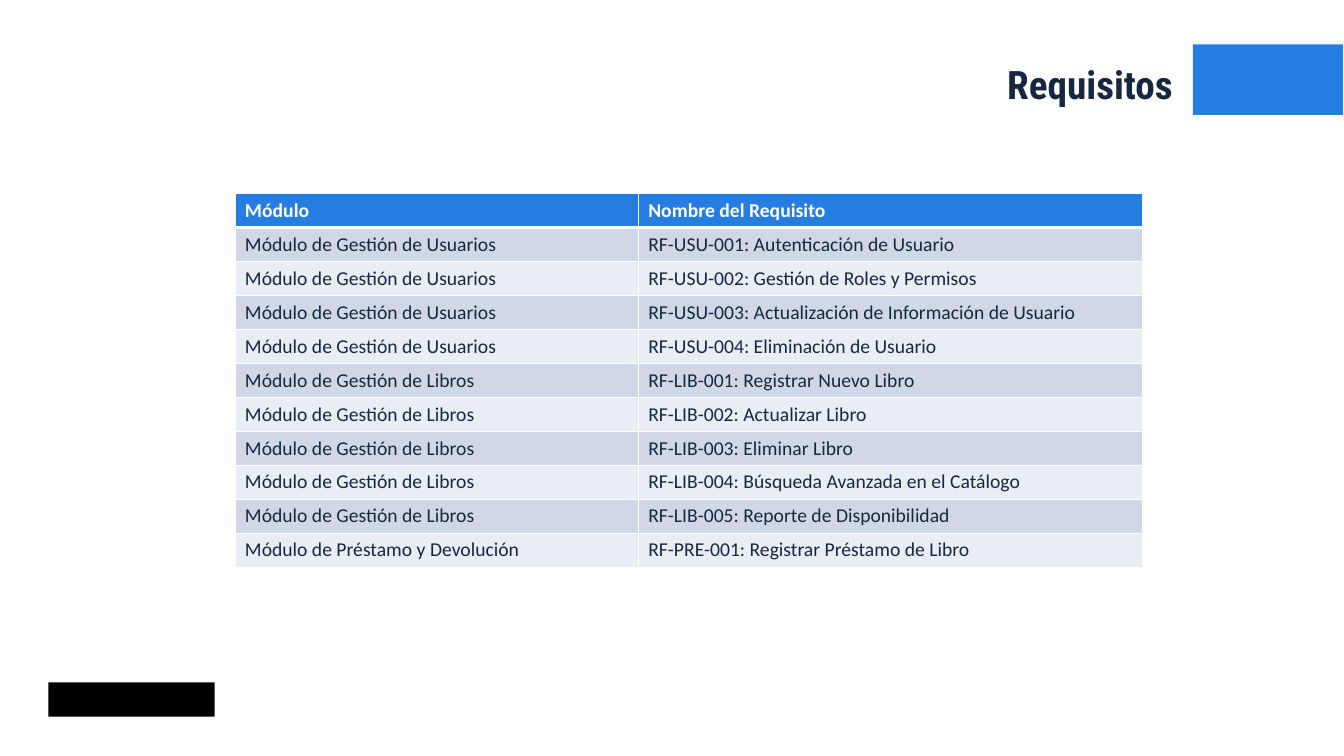
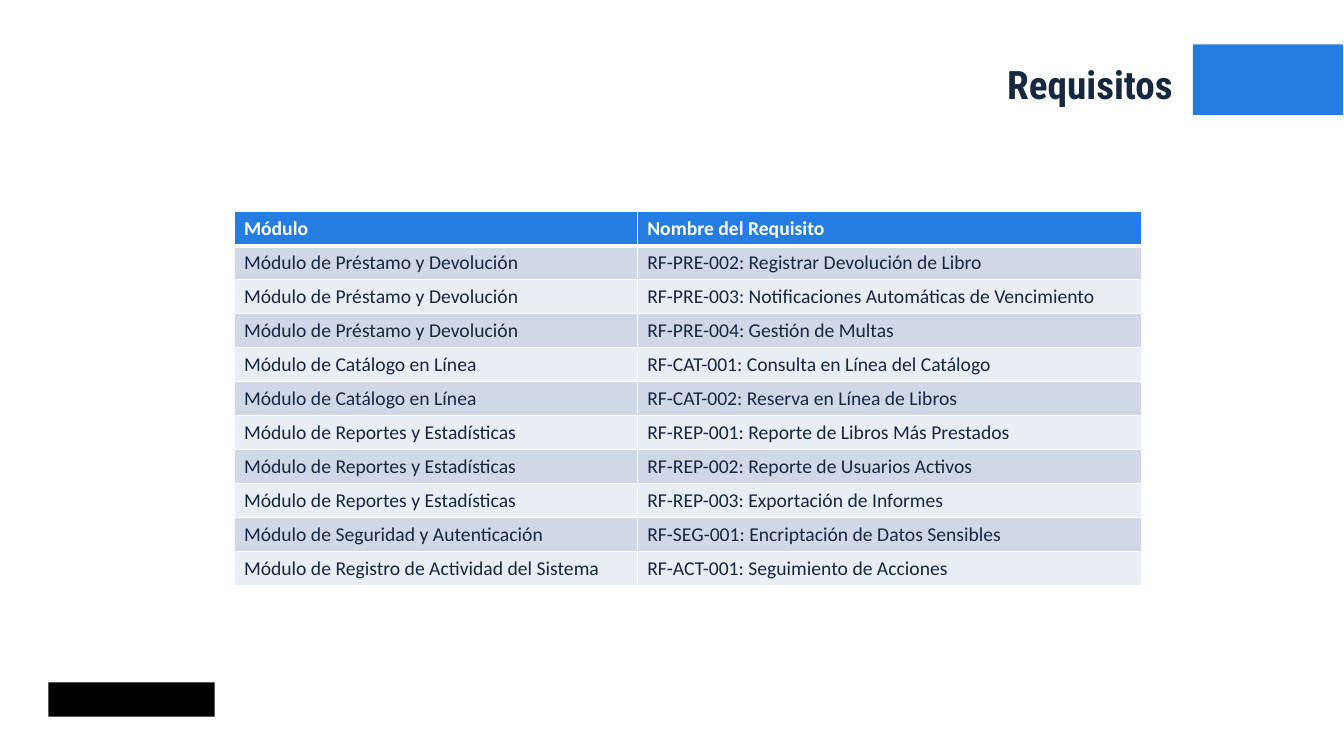
from lxml import etree
from pptx import Presentation
from pptx.dml import color
from pptx.enum import shapes, text
from pptx.oxml import ns
from pptx.util import Pt

PX = 9144
BLUE, NAVY, WHITE, BLACK = "257CE1", "172740", "FFFFFF", "000000"
BANDS = ["D0D8E8", "E9EDF4"]
PAGE = (1333, 750)
BADGE = (1183, 44, 149, 70)
MARK = (48, 677, 165, 34)
TITLE = (524, 60, 649, 102)
COLS = [400, 500]
ROW = 33
HEAD = ("Módulo", "Nombre del Requisito")
USERS = "Módulo de Gestión de Usuarios"
BOOKS = "Módulo de Gestión de Libros"
LOANS = "Módulo de Préstamo y Devolución"
LISTS = "Módulo de Catálogo en Línea"
STATS = "Módulo de Reportes y Estadísticas"
SAFE = "Módulo de Seguridad y Autenticación"
LOGS = "Módulo de Registro de Actividad del Sistema"

PAGES = [
    ((233, 192), [
        (USERS, "RF-USU-001: Autenticación de Usuario"),
        (USERS, "RF-USU-002: Gestión de Roles y Permisos"),
        (USERS, "RF-USU-003: Actualización de Información de Usuario"),
        (USERS, "RF-USU-004: Eliminación de Usuario"),
        (BOOKS, "RF-LIB-001: Registrar Nuevo Libro"),
        (BOOKS, "RF-LIB-002: Actualizar Libro"),
        (BOOKS, "RF-LIB-003: Eliminar Libro"),
        (BOOKS, "RF-LIB-004: Búsqueda Avanzada en el Catálogo"),
        (BOOKS, "RF-LIB-005: Reporte de Disponibilidad"),
        (LOANS, "RF-PRE-001: Registrar Préstamo de Libro"),
    ]),
    ((232, 210), [
        (LOANS, "RF-PRE-002: Registrar Devolución de Libro"),
        (LOANS, "RF-PRE-003: Notificaciones Automáticas de Vencimiento"),
        (LOANS, "RF-PRE-004: Gestión de Multas"),
        (LISTS, "RF-CAT-001: Consulta en Línea del Catálogo"),
        (LISTS, "RF-CAT-002: Reserva en Línea de Libros"),
        (STATS, "RF-REP-001: Reporte de Libros Más Prestados"),
        (STATS, "RF-REP-002: Reporte de Usuarios Activos"),
        (STATS, "RF-REP-003: Exportación de Informes"),
        (SAFE, "RF-SEG-001: Encriptación de Datos Sensibles"),
        (LOGS, "RF-ACT-001: Seguimiento de Acciones"),
    ]),
]


def emu(*sizes):
    return [size * PX for size in sizes]


def paint(fill, tone):
    fill.solid()
    fill.fore_color.rgb = color.RGBColor.from_string(tone)


def write(para, words, face, size, tone, bold):
    run = para.add_run()
    run.text = words
    font = run.font
    font.name, font.size, font.bold = face, Pt(size), bold
    paint(font.fill, tone)


def block(slide, box, tone):
    shape = slide.shapes.add_shape(shapes.MSO_SHAPE.RECTANGLE, *emu(*box))
    shape.shadow.inherit = False
    paint(shape.fill, tone)
    shape.line.fill.background()


def title(slide, box, words):
    shape = slide.shapes.title
    shape.left, shape.top, shape.width, shape.height = emu(*box)
    frame = shape.text_frame
    frame.word_wrap = True
    frame.auto_size = text.MSO_AUTO_SIZE.NONE
    frame.vertical_anchor = text.MSO_ANCHOR.TOP
    para = frame.paragraphs[0]
    para.alignment = text.PP_ALIGN.RIGHT
    para.line_spacing = 0.9
    write(para, words, "Roboto Condensed", 28, NAVY, True)


def edge(cell, side, width):
    props = cell._tc.get_or_add_tcPr()
    line = etree.SubElement(props, ns.qn("a:ln" + side), w=str(Pt(width)))
    fill = etree.SubElement(line, ns.qn("a:solidFill"))
    etree.SubElement(fill, ns.qn("a:srgbClr"), val=WHITE)


def grid(slide, spot, rows):
    size = (sum(COLS), ROW * len(rows))
    frame = slide.shapes.add_table(len(rows), len(COLS), *emu(*spot, *size))
    table = frame.table
    for col, width in zip(table.columns, emu(*COLS)):
        col.width = width
    for r, row in enumerate(rows):
        table.rows[r].height = ROW * PX
        head = r == 0
        for c, words in enumerate(row):
            cell = table.cell(r, c)
            wide = {"T": 3 if r == 1 else 1, "B": 3 if head else 1}
            for side in "LRTB":
                edge(cell, side, wide.get(side, 1))
            paint(cell.fill, BLUE if head else BANDS[(r - 1) % 2])
            para = cell.text_frame.paragraphs[0]
            write(para, words, "Calibri", 14, WHITE if head else NAVY, head)


def page(deck, spot, rows):
    slide = deck.slides.add_slide(deck.slide_layouts[5])
    paint(slide.background.fill, WHITE)
    block(slide, MARK, BLACK)
    block(slide, BADGE, BLUE)
    title(slide, TITLE, "Requisitos")
    grid(slide, spot, [HEAD] + rows)


def main():
    deck = Presentation()
    deck.slide_width, deck.slide_height = emu(*PAGE)
    for spot, rows in PAGES:
        page(deck, spot, rows)
    deck.save("out.pptx")


if __name__ == "__main__":
    main()
